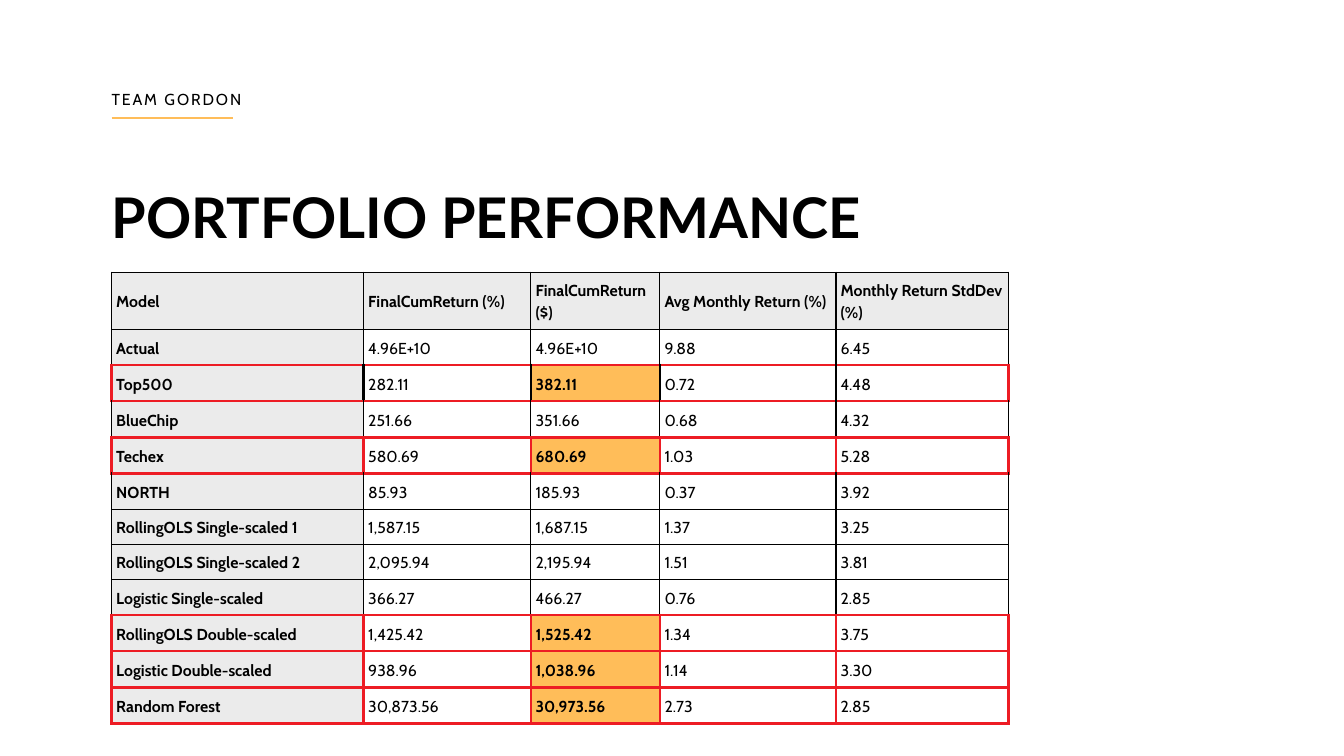
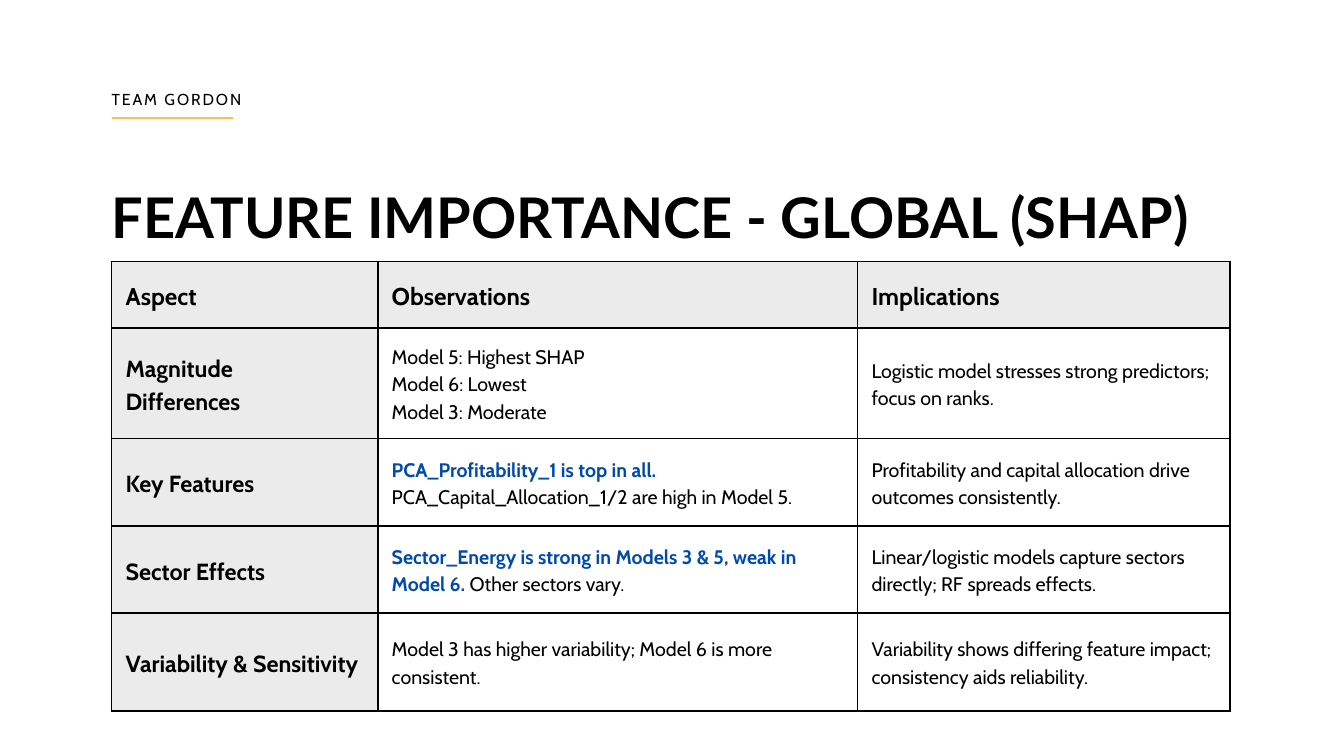
from lxml import etree
from pptx import Presentation
from pptx.dml.color import RGBColor
from pptx.enum.shapes import MSO_CONNECTOR
from pptx.enum.text import MSO_ANCHOR, MSO_AUTO_SIZE, PP_ALIGN
from pptx.oxml import parse_xml
from pptx.oxml.ns import nsdecls, qn
from pptx.util import Inches, Pt

LINE = MSO_CONNECTOR.STRAIGHT
TOP, MID = MSO_ANCHOR.TOP, MSO_ANCHOR.MIDDLE
NO_FIT, LEFT = MSO_AUTO_SIZE.NONE, PP_ALIGN.LEFT

HUES = {"ink": "000000", "gold": "FFBD59", "gray": "EBEBEB",
        "red": "ED1C24", "blue": "004AAD"}
BODY, HEAD = "Cabin", "Lato"

# Page grid: 20 columns wide, all parts share one left edge
deck = Presentation()
deck.slide_width, deck.slide_height = Inches(20), Inches(11.25)
COL = deck.slide_width // 20
EDGE = 1.66


def grid(*units):
    return [int(unit * COL) for unit in units]


def write(frame, text, size, font=BODY, bold=False, lead=1.4, gap=0, anchor=TOP):
    """Write one paragraph per line; parts between asterisks are bold blue."""
    frame.word_wrap = True
    frame.vertical_anchor = anchor
    frame.margin_left = frame.margin_right = int(gap * COL)
    frame.margin_top = frame.margin_bottom = int(gap * COL)
    for row, line in enumerate(text.split("\n")):
        para = frame.add_paragraph() if row else frame.paragraphs[0]
        para.alignment = LEFT
        para.line_spacing = Pt(round(size * lead, 1))
        para.space_before = Pt(0)
        for part, words in enumerate(line.split("*")):
            if not words:
                continue
            run = para.add_run()
            run.text = words
            key = part % 2 == 1
            run.font.name, run.font.size = font, Pt(size)
            run.font.bold = bold or key
            run.font.color.rgb = RGBColor.from_string(HUES["blue" if key else "ink"])


# Slide content; "hot" rows are framed in red, "mark" is the gold column
pages = [
    {
        "title": "PORTFOLIO PERFORMANCE",
        "top": 4.05, "gap": 0.07, "sizes": (17, 17, 17), "thin": 1.5,
        "cols": [3.75, 2.49, 1.92, 2.62, 2.57],
        "rows": [0.85, 0.53, 0.54, 0.54, 0.54, 0.53, 0.52, 0.52, 0.53, 0.54, 0.54, 0.54],
        "hot": {2, 4, 9, 10, 11}, "dark": {2}, "mark": 2,
        "cells": [
            ["Model", "FinalCumReturn (%)", "FinalCumReturn ($)",
             "Avg Monthly Return (%)", "Monthly Return StdDev (%)"],
            ["Actual", "4.96E+10", "4.96E+10", "9.88", "6.45"],
            ["Top500", "282.11", "382.11", "0.72", "4.48"],
            ["BlueChip", "251.66", "351.66", "0.68", "4.32"],
            ["Techex", "580.69", "680.69", "1.03", "5.28"],
            ["NORTH", "85.93", "185.93", "0.37", "3.92"],
            ["RollingOLS Single-scaled 1", "1,587.15", "1,687.15", "1.37", "3.25"],
            ["RollingOLS Single-scaled 2", "2,095.94", "2,195.94", "1.51", "3.81"],
            ["Logistic Single-scaled", "366.27", "466.27", "0.76", "2.85"],
            ["RollingOLS Double-scaled", "1,425.42", "1,525.42", "1.34", "3.75"],
            ["Logistic Double-scaled", "938.96", "1,038.96", "1.14", "3.30"],
            ["Random Forest", "30,873.56", "30,973.56", "2.73", "2.85"],
        ],
    },
    {
        "title": "FEATURE IMPORTANCE - GLOBAL (SHAP)",
        "top": 3.89, "gap": 0.21, "sizes": (26, 25, 21), "thin": 2.25,
        "cols": [3.96, 7.14, 5.55],
        "rows": [0.99, 1.64, 1.3, 1.3, 1.45],
        "hot": set(), "dark": set(), "mark": None,
        "cells": [
            ["Aspect", "Observations", "Implications"],
            ["Magnitude \nDifferences",
             "Model 5: Highest SHAP\nModel 6: Lowest\nModel 3: Moderate",
             "Logistic model stresses strong predictors; focus on ranks."],
            ["Key Features",
             "*PCA_Profitability_1 is top in all. *\n"
             "PCA_Capital_Allocation_1/2 are high in Model 5.",
             "Profitability and capital allocation drive outcomes consistently."],
            ["Sector Effects",
             "*Sector_Energy is strong in Models 3 & 5, weak in Model 6.*"
             " Other sectors vary.",
             "Linear/logistic models capture sectors directly; RF spreads effects."],
            ["Variability & Sensitivity",
             "Model 3 has higher variability; Model 6 is more consistent.",
             "Variability shows differing feature impact; "
             "consistency aids reliability."],
        ],
    },
]

for page in pages:
    slide = deck.slides.add_slide(deck.slide_layouts[5])

    # Title
    title = slide.shapes.title
    title.left, title.top, title.width, title.height = grid(EDGE, 2.59, 17, 1.1)
    write(title.text_frame, page["title"], 60, HEAD, True, 1.35)
    title.text_frame.auto_size = NO_FIT

    # Team label with its gold rule
    label = slide.shapes.add_textbox(*grid(EDGE, 1.29, 2.78, 0.32))
    write(label.text_frame, "TEAM GORDON", 17)
    label.text_frame.paragraphs[0].runs[0].font._element.set("spc", "200")
    rule = slide.shapes.add_connector(LINE, *grid(EDGE, 1.76, EDGE + 1.8, 1.76))
    rule.line.color.rgb = RGBColor.from_string(HUES["gold"])
    rule.line.width = Pt(2.25)
    etree.SubElement(rule._element.spPr, qn("a:effectLst"))

    # Table
    cols, rows, hot = page["cols"], page["rows"], page["hot"]
    box = grid(EDGE, page["top"], sum(cols), sum(rows))
    table = slide.shapes.add_table(len(rows), len(cols), *box).table
    table.first_row = table.horz_banding = False
    for col, width in zip(table.columns, grid(*cols)):
        col.width = width
    for row, height in zip(table.rows, grid(*rows)):
        row.height = height

    last = len(cols) - 1
    for r, texts in enumerate(page["cells"]):
        for c, text in enumerate(texts):
            cell = table.cell(r, c)
            side = r == 0 or c == 0
            gold = r in hot and c == page["mark"]
            size = page["sizes"][0 if r == 0 else 1 if c == 0 else 2]
            write(cell.text_frame, text, size, bold=side or gold)
            cell.vertical_anchor = MID
            cell.margin_left = cell.margin_right = int(page["gap"] * COL)
            cell.margin_top = cell.margin_bottom = int(page["gap"] * COL)
            if side or gold:
                cell.fill.solid()
                cell.fill.fore_color.rgb = RGBColor.from_string(
                    HUES["gray" if side else "gold"])
            else:
                cell.fill.background()

            # Borders: red around hot rows, black inside dark ones
            red = {"L": r in hot and (c == 0 or r not in page["dark"]),
                   "R": r in hot and (c == last or r not in page["dark"]),
                   "T": bool({r - 1, r} & hot), "B": bool({r, r + 1} & hot)}
            for spot, (edge, is_red) in enumerate(red.items()):
                wide = Pt(3 if is_red or r in hot else page["thin"])
                hue = HUES["red" if is_red else "ink"]
                cell._tc.get_or_add_tcPr().insert(spot, parse_xml(
                    f'<a:ln{edge} {nsdecls("a")} w="{wide}"><a:solidFill>'
                    f'<a:srgbClr val="{hue}"/></a:solidFill></a:ln{edge}>'))

deck.save("out.pptx")
